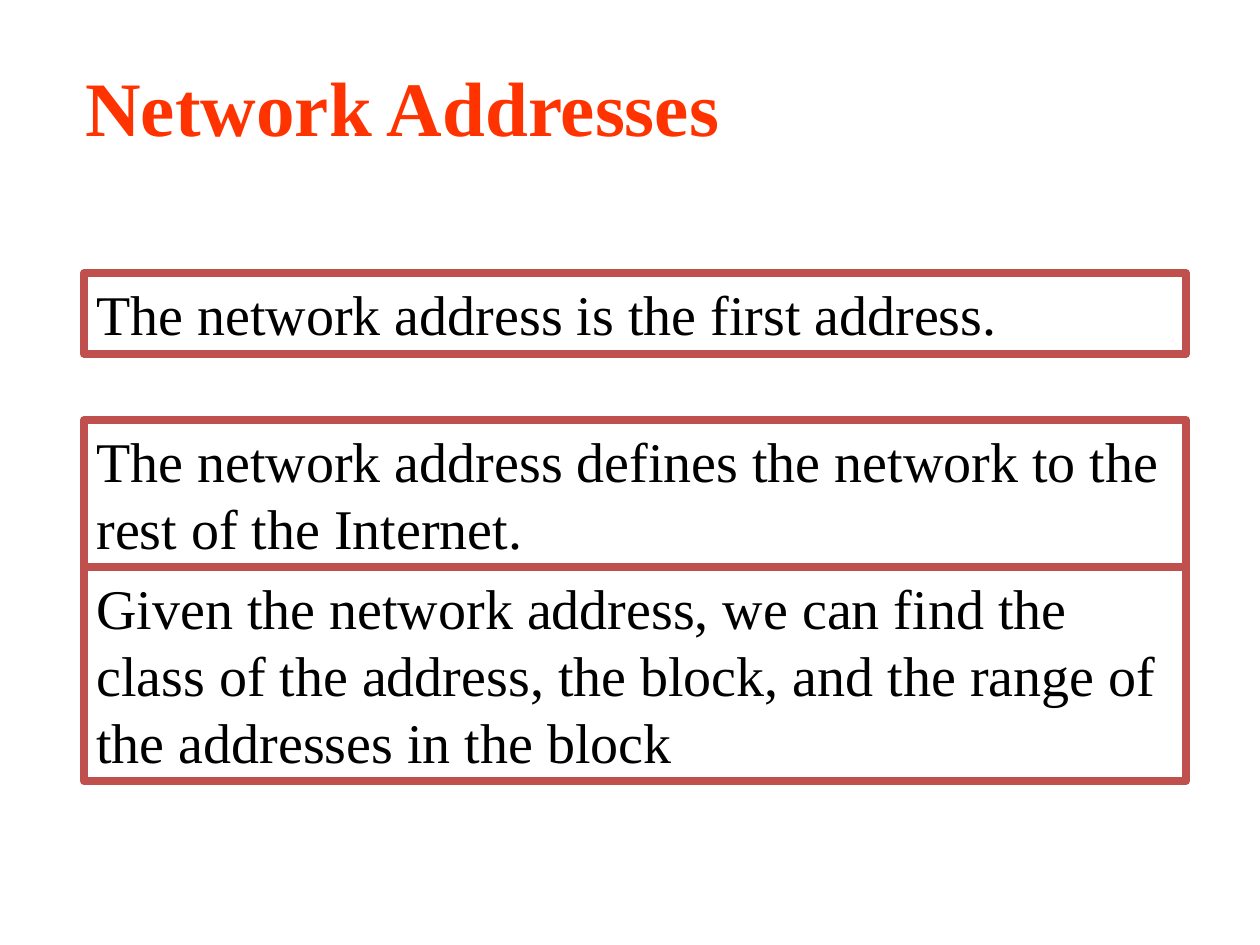
from pptx import Presentation
from pptx.dml.color import RGBColor as RGB
from pptx.enum.shapes import MSO_SHAPE as SHAPE
from pptx.enum.text import MSO_ANCHOR as ANCHOR, MSO_AUTO_SIZE as AUTO, PP_ALIGN as ALIGN
from pptx.util import Emu, Pt

SCALE = 914400 / 126  # EMU in one px
RED = RGB(0xFF, 0x33, 0x00)
BRICK = RGB(0xC0, 0x50, 0x4D)
BLACK = RGB(0, 0, 0)

TITLE = {"name": "Times New Roman", "size": Pt(44), "bold": True}
BODY = {"name": "Times New Roman", "size": Pt(32), "bold": False}

# Top, height and wording of each statement
LEFT, WIDTH = 84, 1102
FACTS = [
    (273, 81, "The network address is the first address."),
    (420, 147, "The network address defines the network to the rest of the Internet."),
    (567, 214, "Given the network address, we can find the class of the address, "
               "the block, and the range of the addresses in the block"),
]


def px(*sizes):
    return [Emu(round(size * SCALE)) for size in sizes]


def write(shape, text, style, color):
    frame = shape.text_frame
    layout = {"word_wrap": True, "auto_size": AUTO.SHAPE_TO_FIT_TEXT,
              "vertical_anchor": ANCHOR.TOP}
    for key, value in layout.items():
        setattr(frame, key, value)
    para = frame.paragraphs[0]
    para.alignment = ALIGN.LEFT
    run = para.add_run()
    run.text = text
    for key, value in style.items():
        setattr(run.font, key, value)
    run.font.color.rgb = color


def add_title(slide, text):
    box = slide.shapes.add_textbox(*px(73, 53, 693, 106))
    write(box, text, TITLE, RED)


def add_fact(slide, top, height, text):
    box = slide.shapes.add_shape(SHAPE.RECTANGLE, *px(LEFT, top, WIDTH, height))
    box.shadow.inherit = False
    box.fill.background()
    box.line.color.rgb = BRICK
    box.line.width = Pt(4.5)
    write(box, text, BODY, BLACK)


def main():
    deck = Presentation()
    deck.slide_width, deck.slide_height = px(1260, 945)
    slide = deck.slides.add_slide(deck.slide_layouts[6])

    # Heading
    add_title(slide, "Network Addresses")

    # Framed statements
    for fact in FACTS:
        add_fact(slide, *fact)

    deck.save("out.pptx")


if __name__ == "__main__":
    main()
